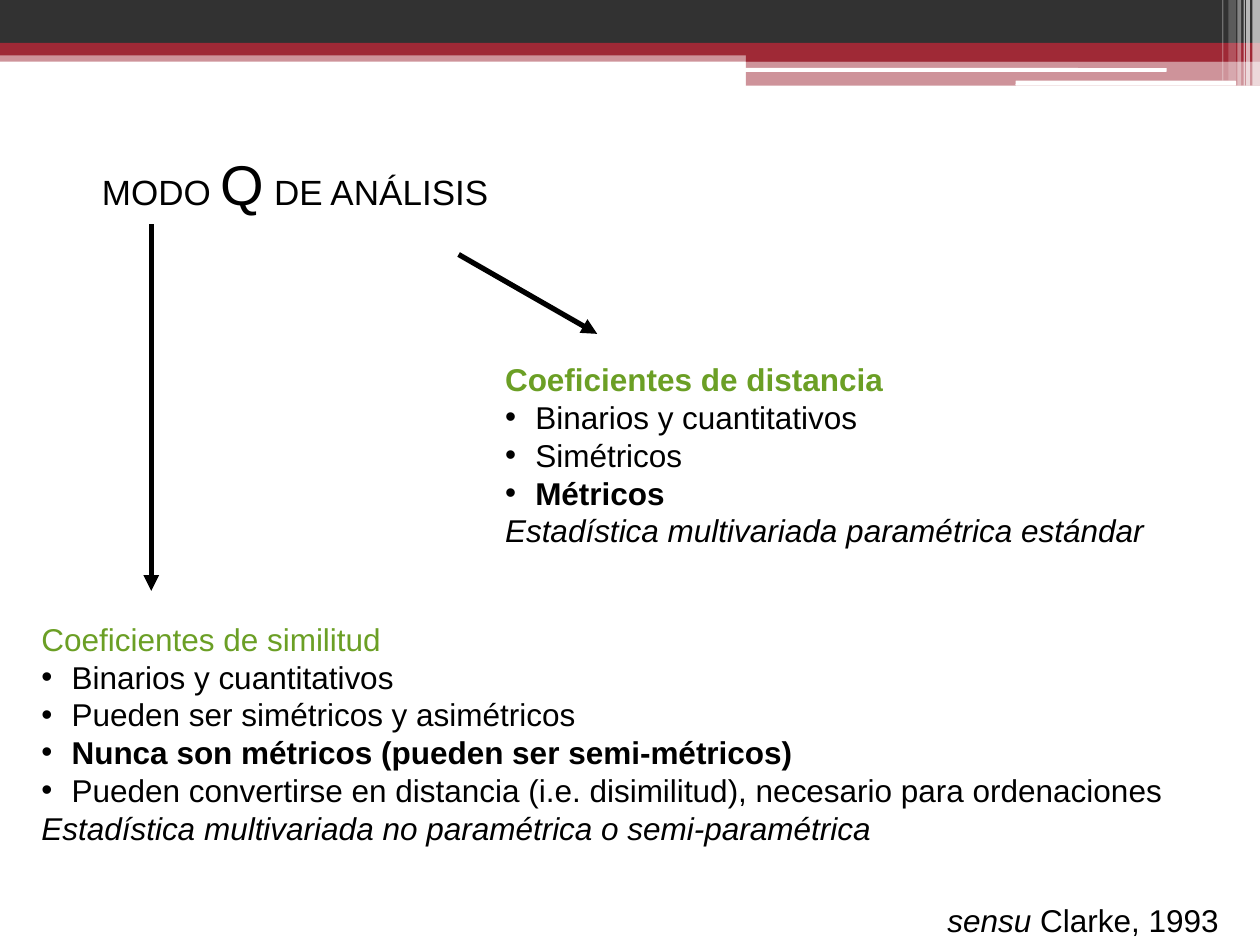
from lxml import etree
from pptx import Presentation, util as u
from pptx.dml.color import RGBColor
from pptx.enum import shapes, text
from pptx.oxml.ns import qn

THEME = {
    "font": "Arial",
    "ink": "000000", "heading": "6B9F25",
    "dark": "323232", "red": "9F2936", "white": "FFFFFF",
    "title": 20, "letter": 32, "body": 18, "arrow": 3,
}
WIDTH, HEIGHT = u.Inches(10), u.Inches(7.5)
BULLET_INDENT = u.Inches(0.24)

# All positions and sizes are percentages of the slide's width and height.
# Header bands: left, top, width, height, colour, opacity, rounded
BANDS = [
    (0, 5.33, 100, 1.2, "red", 50, False),
    (0, 0, 100, 4.53, "dark", 100, False),
    (0, 4.53, 100, 1.33, "red", 100, False),
    (59.2, 5.2, 40.8, 1.33, "red", 100, False),
    (59.2, 6.4, 40.8, 2.67, "red", 50, False),
    (59.1, 7.2, 33.5, 0.4, "white", 100, True),
    (80.6, 8.53, 17.5, 0.53, "white", 100, True),
]
# White stripes from the top edge: left, width, height, opacity
STRIPES = [
    (99.4, 0.6, 9.07, 65), (98.9, 0.3, 9.07, 65), (98.7, 0.1, 9.07, 60),
    (98.2, 0.3, 9.07, 40), (97.5, 0.6, 8.53, 20), (97, 0.1, 8.53, 30),
]
ARROWS = [(36.4, 26.93, 47.4, 35.33), (12, 23.73, 12, 62.53)]

# A paragraph is (bulleted, runs); a run is (words, size, colour, style)
TITLE = [(False, [("MODO ", "title", "ink", ""),
                  ("Q", "letter", "ink", ""),
                  (" DE ANÁLISIS", "title", "ink", "")])]
SIMILARITY = [
    (False, [("Coeficientes de similitud", "body", "heading", "")]),
    (True, [("Binarios y cuantitativos", "body", "ink", "")]),
    (True, [("Pueden ser simétricos y asimétricos", "body", "ink", "")]),
    (True, [("Nunca son métricos (pueden ser semi-métricos)", "body", "ink", "bold")]),
    (True, [("Pueden convertirse en distancia (i.e. disimilitud), "
             "necesario para ordenaciones", "body", "ink", "")]),
    (False, [("Estadística multivariada no paramétrica o semi-paramétrica",
              "body", "ink", "italic")]),
]
DISTANCE = [
    (False, [("Coeficientes de distancia", "body", "heading", "bold")]),
    (True, [("Binarios y cuantitativos", "body", "ink", "")]),
    (True, [("Simétricos", "body", "ink", "")]),
    (True, [("Métricos", "body", "ink", "bold")]),
    (False, [("Estadística multivariada paramétrica estándar", "body", "ink", "italic")]),
]
CITATION = [(False, [("sensu", "body", "ink", "italic"),
                     (" Clarke, 1993", "body", "ink", "")])]
# Text blocks: area, paragraphs, wrap
TEXTS = [
    ((7.1, 15.2, 32.8, 8.4), TITLE, False),
    ((2.3, 64.93, 97.7, 25.6), SIMILARITY, True),
    ((39.1, 37.47, 60.9, 21.6), DISTANCE, True),
    ((74.2, 94.67, 25.8, 5.33), CITATION, True),
]


def place(*shares):
    """Turn alternating width and height percentages into slide lengths."""
    return [int(share / 100 * (HEIGHT if index % 2 else WIDTH))
            for index, share in enumerate(shares)]


def color(name):
    return RGBColor.from_string(THEME[name])


def add_band(slide, area, fill, opacity, rounded=False):
    kind = shapes.MSO_SHAPE.ROUNDED_RECTANGLE if rounded else shapes.MSO_SHAPE.RECTANGLE
    shape = slide.shapes.add_shape(kind, *place(*area))
    shape.shadow.inherit = False
    shape.line.fill.background()
    shape.fill.solid()
    shape.fill.fore_color.rgb = color(fill)
    if opacity < 100:
        tone = shape.fill._xPr.find(qn("a:solidFill"))[0]
        etree.SubElement(tone, qn("a:alpha")).set("val", str(opacity * 1000))


def add_arrow(slide, ends):
    arrow = slide.shapes.add_connector(shapes.MSO_CONNECTOR.STRAIGHT, *place(*ends))
    arrow.line.color.rgb = color("ink")
    arrow.line.width = u.Pt(THEME["arrow"])
    etree.SubElement(arrow.line._get_or_add_ln(), qn("a:tailEnd")).set("type", "triangle")
    etree.SubElement(arrow._element.spPr, qn("a:effectLst"))


def add_bullet(paragraph):
    properties = paragraph._p.get_or_add_pPr()
    properties.set("marL", str(BULLET_INDENT))
    properties.set("indent", str(-BULLET_INDENT))
    etree.SubElement(properties, qn("a:buFont")).set("typeface", THEME["font"])
    etree.SubElement(properties, qn("a:buChar")).set("char", "•")


def add_text(slide, area, paragraphs, wrap):
    frame = slide.shapes.add_textbox(*place(*area)).text_frame
    frame.word_wrap = wrap
    frame.auto_size = text.MSO_AUTO_SIZE.SHAPE_TO_FIT_TEXT
    for index, (bulleted, runs) in enumerate(paragraphs):
        paragraph = frame.add_paragraph() if index else frame.paragraphs[0]
        if bulleted:
            add_bullet(paragraph)
        for words, size, ink, style in runs:
            run = paragraph.add_run()
            run.text = words
            run.font.name = THEME["font"]
            run.font.size = u.Pt(THEME[size])
            run.font.color.rgb = color(ink)
            run.font.bold = style == "bold"
            run.font.italic = style == "italic"


def main():
    presentation = Presentation()
    presentation.slide_width, presentation.slide_height = WIDTH, HEIGHT
    slide = presentation.slides.add_slide(presentation.slide_layouts[6])
    for *area, fill, opacity, rounded in BANDS:
        add_band(slide, area, fill, opacity, rounded)
    for left, width, height, opacity in STRIPES:
        add_band(slide, (left, 0, width, height), "white", opacity)
    for ends in ARROWS:
        add_arrow(slide, ends)
    for area, paragraphs, wrap in TEXTS:
        add_text(slide, area, paragraphs, wrap)
    presentation.save("out.pptx")


if __name__ == "__main__":
    main()
